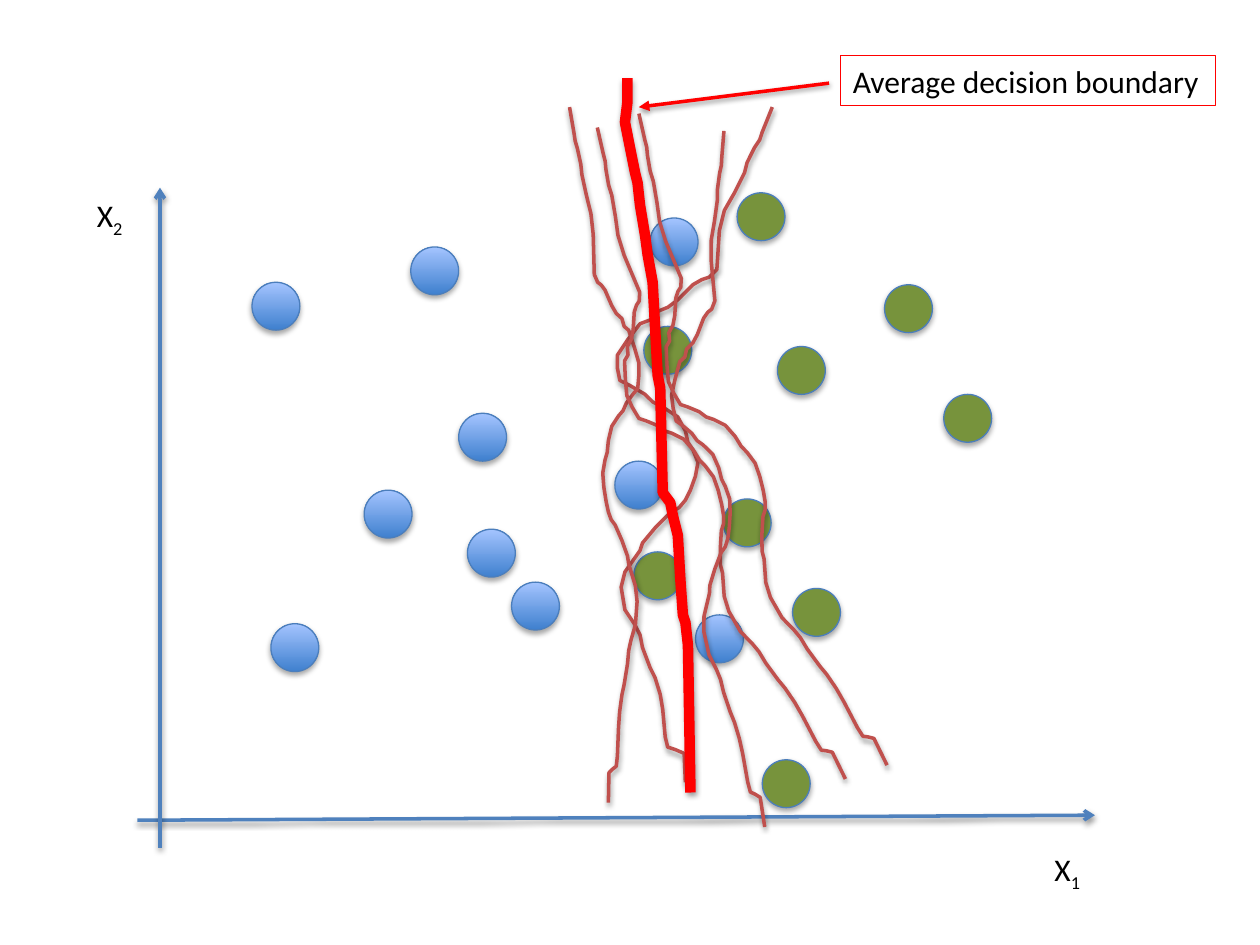
from lxml import etree
from pptx import Presentation
from pptx.dml.color import RGBColor
from pptx.enum.shapes import MSO_CONNECTOR, MSO_SHAPE
from pptx.enum.text import MSO_AUTO_SIZE, PP_ALIGN
from pptx.oxml.ns import qn
from pptx.util import Emu, Inches, Pt

STRAIGHT = MSO_CONNECTOR.STRAIGHT
OVAL = MSO_SHAPE.OVAL
FIT_SHAPE = MSO_AUTO_SIZE.SHAPE_TO_FIT_TEXT
LEFT = PP_ALIGN.LEFT

COLORS = {
    "axis": "4F81BD", "outline": "4B7EBC", "blue_low": "3F80CE",
    "blue_high": "A4C4FF", "green": "77933C", "boundary": "C0504D",
    "average": "FF0000", "text": "000000", "shadow": "000000",
}
FONT = "Calibri"
COLUMNS = 10
DOT = 0.38

BLUE_DOTS = [
    (2, 2.24), (3.26, 1.96), (3.64, 3.28), (2.15, 4.95), (2.89, 3.89),
    (4.06, 4.62), (3.71, 4.2), (4.88, 3.66), (5.52, 4.88), (5.16, 1.73),
]
GREEN_DOTS = [
    (5.11, 2.59), (5.85, 1.53), (7.02, 2.26), (5.74, 3.96), (6.17, 2.75),
    (7.49, 3.13), (5.03, 4.38), (6.29, 4.67), (6.05, 6.03),
]

# One wavy boundary; every single model shows it stretched, turned or mirrored
WAVE = [
    (6.13, 0.85), (6.05, 1.05), (6.03, 1.11), (5.99, 1.17), (5.93, 1.29),
    (5.91, 1.37), (5.83, 1.53), (5.75, 1.67), (5.71, 1.83), (5.69, 2.14),
    (5.63, 2.2), (5.57, 2.22), (5.5, 2.26), (5.38, 2.38), (5.3, 2.44),
    (5.2, 2.48), (5.16, 2.54), (5.08, 2.57), (4.98, 2.7), (4.9, 2.82),
    (4.9, 2.92), (4.92, 3.02), (5, 3.06), (5.12, 3.13), (5.18, 3.19),
    (5.26, 3.23), (5.38, 3.31), (5.44, 3.42), (5.46, 3.51), (5.5, 3.57),
    (5.54, 3.67), (5.52, 3.78), (5.48, 3.89), (5.44, 3.97), (5.39, 4.03),
    (5.32, 4.07), (5.2, 4.19), (5.1, 4.31), (5.08, 4.37), (4.96, 4.54),
    (4.93, 4.66), (4.96, 4.84), (5.04, 4.96), (5.08, 5.04), (5.1, 5.14),
    (5.16, 5.3), (5.2, 5.38), (5.24, 5.51), (5.26, 5.63), (5.28, 5.85),
    (5.3, 5.93), (5.36, 5.95), (5.43, 5.98), (5.44, 6.21),
]
# left, top, width, height, rotation, mirrored
BOUNDARIES = [
    (4.9, 0.85, 1.23, 5.36, 0, False),
    (4.52, 0.85, 0.55, 5.52, 0, True),
    (5.25, 0.9, 0.68, 5.52, 335.2, False),
    (5.42, 1.06, 0.68, 5.52, 352.7, False),
    (5.58, 0.79, 0.68, 5.52, 335.2, False),
]
AVERAGE = [
    (5.48, 6.29), (5.46, 5.12), (5.44, 4.94), (5.42, 4.88), (5.4, 4.6),
    (5.38, 4.25), (5.34, 4.09), (5.32, 3.99), (5.26, 3.91), (5.24, 3.08),
    (5.22, 2.98), (5.18, 2.24), (5.14, 2.02), (5.12, 1.87), (5.08, 1.63),
    (5.06, 1.45), (5.04, 1.37), (5, 1.17), (4.96, 0.97), (4.98, 0.81),
    (4.98, 0.62),
]


def rgb(name):
    return RGBColor.from_string(COLORS[name])


def fit_wave(left, top, width, height, mirrored):
    """Stretch WAVE to fill a box."""
    xs, ys = zip(*WAVE)
    points = []
    for x, y in WAVE:
        u = (x - min(xs)) / (max(xs) - min(xs))
        v = (y - min(ys)) / (max(ys) - min(ys))
        points.append((left + width * (1 - u if mirrored else u), top + height * v))
    return points


class Plot:
    """Draws on one slide; lengths are columns and rows of a square grid."""

    def __init__(self, prs):
        self.slide = prs.slides.add_slide(prs.slide_layouts[6])
        self.shapes = self.slide.shapes
        self.cell = prs.slide_width / COLUMNS

    def grid(self, *lengths):
        return [Emu(round(n * self.cell)) for n in lengths]

    def stroke(self, sp, color, width):
        sp.line.color.rgb = rgb(color)
        sp.line.width = Pt(width)

    def shadow(self, sp, alpha=38, distance=1.6):
        """Add a soft shadow straight below; call after fill and line are set."""
        effects = etree.SubElement(sp._element.spPr, qn("a:effectLst"))
        outer = etree.SubElement(
            effects, qn("a:outerShdw"), blurRad=str(Pt(3.1)),
            dist=str(Pt(distance)), dir="5400000", rotWithShape="0")
        color = etree.SubElement(outer, qn("a:srgbClr"), val=COLORS["shadow"])
        etree.SubElement(color, qn("a:alpha"), val=str(alpha * 1000))

    def arrow(self, start, end, color, head):
        sp = self.shapes.add_connector(STRAIGHT, *self.grid(*start, *end))
        self.stroke(sp, color, 2)
        etree.SubElement(sp.line._get_or_add_ln(), qn("a:tailEnd"), type=head)
        self.shadow(sp)

    def dot(self, left, top, green=False):
        sp = self.shapes.add_shape(OVAL, *self.grid(left, top, DOT, DOT))
        if green:
            sp.fill.solid()
            sp.fill.fore_color.rgb = rgb("green")
        else:
            sp.fill.gradient()
            sp.fill.gradient_angle = 90
            for stop, name, position in zip(
                    sp.fill.gradient_stops, ("blue_low", "blue_high"), (0, 1)):
                stop.color.rgb = rgb(name)
                stop.position = position
        self.stroke(sp, "outline", 0.75)
        self.shadow(sp, 35, 1.8)

    def curve(self, points, color, width, rotation=0):
        start, *rest = [self.grid(*point) for point in points]
        builder = self.shapes.build_freeform(*start)
        builder.add_line_segments(rest, close=False)
        sp = builder.convert_to_shape()
        sp.rotation = rotation
        sp.fill.background()
        self.stroke(sp, color, width)
        etree.SubElement(sp.line._get_or_add_ln(), qn("a:round"))
        self.shadow(sp)

    def label(self, box, text, subscript="", border=None):
        sp = self.shapes.add_textbox(*self.grid(*box))
        tf = sp.text_frame
        tf.word_wrap = False
        tf.auto_size = FIT_SHAPE
        p = tf.paragraphs[0]
        p.alignment = LEFT
        for part in filter(None, (text, subscript)):
            r = p.add_run()
            r.text = part
            r.font.name = FONT
            r.font.size = Pt(18)
            r.font.color.rgb = rgb("text")
        if subscript:
            r._r.get_or_add_rPr().set("baseline", "-25000")
        if border:
            self.stroke(sp, border, 0.75)


def main():
    prs = Presentation()
    prs.slide_width, prs.slide_height = Inches(10), Inches(7.5)
    plot = Plot(prs)

    plot.arrow((1.09, 6.51), (8.69, 6.47), "axis", "arrow")
    plot.arrow((1.27, 6.73), (1.27, 1.49), "axis", "arrow")
    plot.label((8.27, 6.7, 0.42, 0.4), "X", "1")
    plot.label((0.67, 1.51, 0.42, 0.4), "X", "2")

    for spot in BLUE_DOTS:
        plot.dot(*spot)
    for spot in GREEN_DOTS:
        plot.dot(*spot, green=True)

    for *box, rotation, mirrored in BOUNDARIES:
        plot.curve(fit_wave(*box, mirrored), "boundary", 2, rotation)
    plot.curve(AVERAGE, "average", 6)

    plot.label((6.67, 0.44, 2.98, 0.4), "Average decision boundary", border="average")
    plot.arrow((6.58, 0.66), (5.07, 0.85), "average", "triangle")
    prs.save("out.pptx")


if __name__ == "__main__":
    main()
